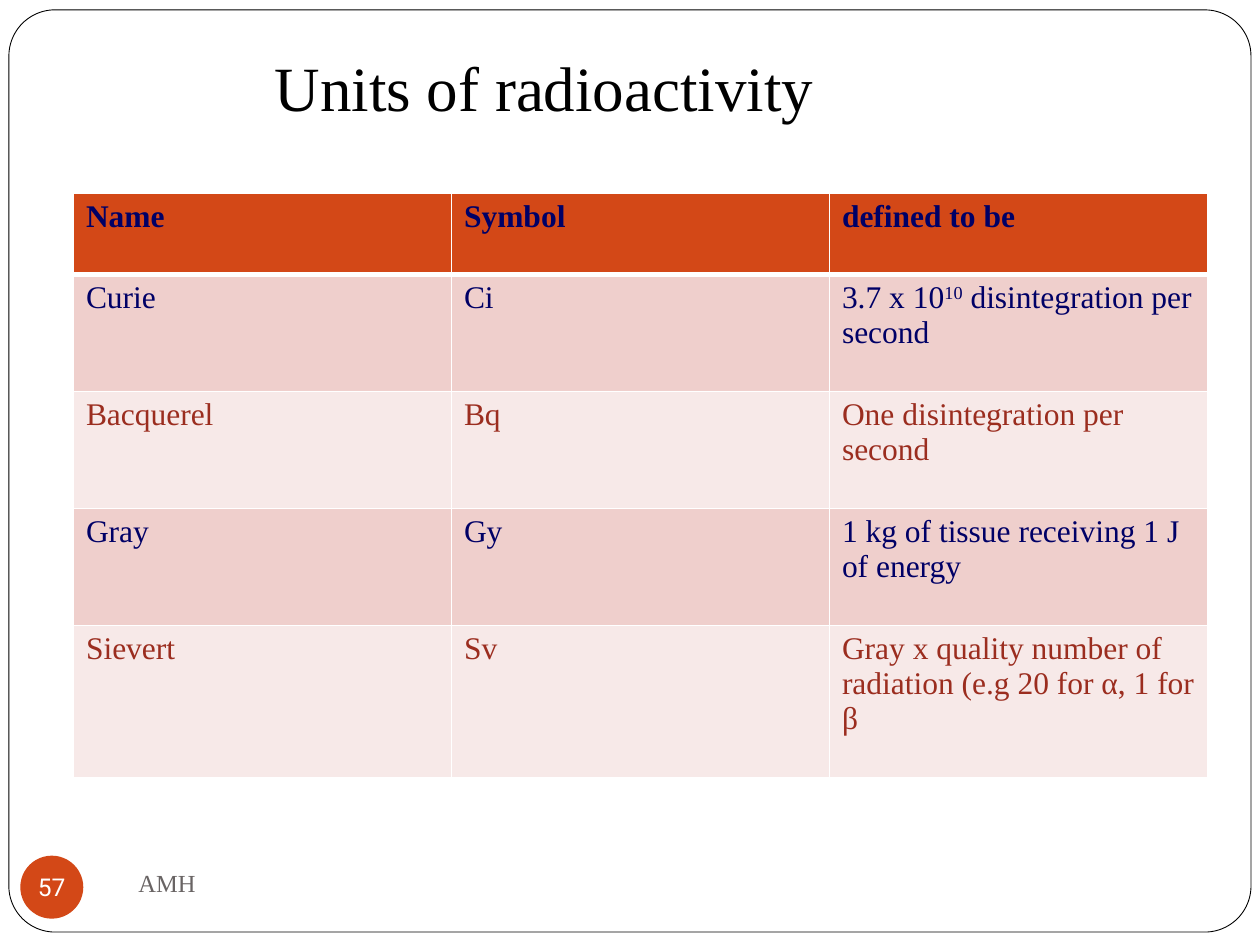
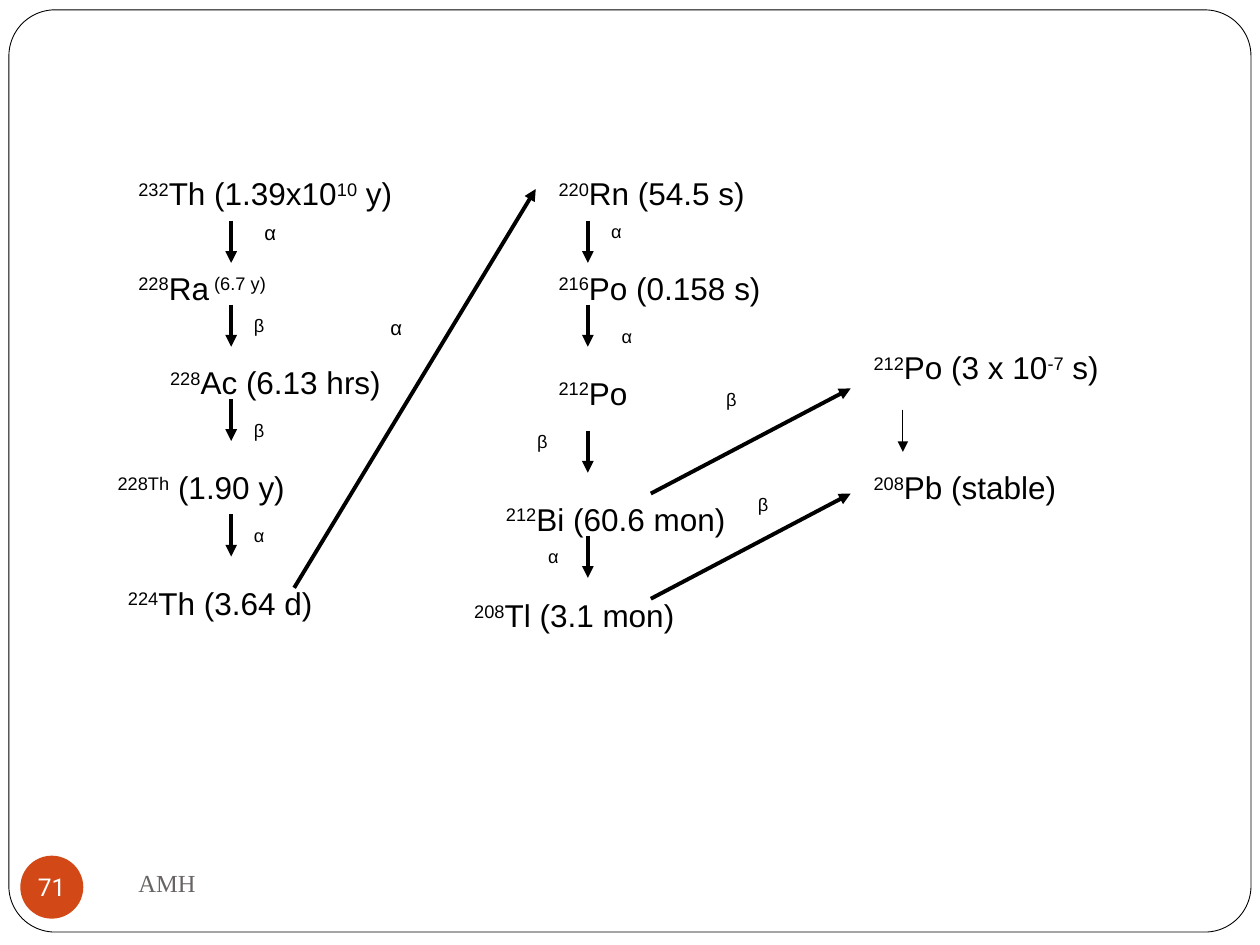
"""Build two slides on radioactivity: a table of units and the thorium decay chain."""
from typing import NamedTuple

from lxml.etree import SubElement
from pptx import Presentation
from pptx.dml.color import RGBColor
from pptx.enum.shapes import MSO_CONNECTOR as Connector, MSO_SHAPE as Preset
from pptx.enum.text import MSO_ANCHOR as Anchor, MSO_AUTO_SIZE as AutoSize, PP_ALIGN as Align
from pptx.oxml.ns import qn
from pptx.slide import Slide
from pptx.table import _Cell as Cell
from pptx.text.text import TextFrame
from pptx.util import Cm, Pt

COLORS = {
    "ink": "000000", "paper": "FFFFFF", "accent": "D34817", "footer": "696464",
    "navy": "000066", "rust": "9B2D1F", "rose": "EFCFCC", "blush": "F7E9E8",
}
SERIF, SANS, NUMERALS = "Times New Roman", "Arial", "Roboto"


class Style(NamedTuple):
    font: str
    size: float
    color: str
    bold: bool = False


class Label(NamedTuple):
    """Text in which the parts between bars alternate, every second one raised."""
    text: str
    left: float
    top: float
    width: float
    size: float = 18


class Arrow(NamedTuple):
    x1: float
    y1: float
    x2: float
    y2: float
    weight: float = 2.25


class RowLook(NamedTuple):
    fill: str
    text: str


TITLE = Style(SERIF, 36, "ink")
FOOTER = Style(SERIF, 14, "footer")
PAGE_NUMBER = Style(NUMERALS, 14, "paper")

UNITS = [
    ("Name", "Symbol", "defined to be"),
    ("Curie", "Ci", "3.7 x 10|10| disintegration per second"),
    ("Bacquerel", "Bq", "One disintegration per second"),
    ("Gray", "Gy", "1 kg of tissue receiving 1 J of energy"),
    ("Sievert", "Sv", "Gray x quality number of radiation (e.g 20 for α, 1 for β"),
]
UNIT_ROW_HEIGHTS = [1.64, 2.36, 2.36, 2.36, 3.07]
HEADER_LOOK = RowLook("accent", "navy")
BODY_LOOKS = [RowLook("rose", "navy"), RowLook("blush", "rust")]

NUCLIDES = [
    Label("|232|Th (1.39x10|10| y)", 2.54, 3.39, 5.93),
    Label("|228|Ra| (6.7 y)|", 2.54, 5.29, 4.66),
    Label("|228|Ac (6.13 hrs)", 3.18, 7.2, 4.87),
    Label("|228Th| (1.90 y)", 2.12, 9.31, 5.5),
    Label("|224|Th (3.64 d)", 2.33, 11.64, 5.29),
    Label("|220|Rn (54.5 s)", 11.01, 3.39, 5.29),
    Label("|216|Po (0.158 s)", 11.01, 5.29, 5.5),
    Label("|212|Po", 11.01, 7.41, 2.33),
    Label("|212|Bi (60.6 mon)", 9.95, 9.95, 5.93),
    Label("|208|Tl (3.1 mon)", 9.31, 11.89, 5.5),
    Label("|212|Po (3 x 10|-7| s)", 17.36, 6.9, 6.14),
    Label("|208|Pb (stable)", 17.36, 9.31, 4.87),
]
EMISSION_WIDTH = 0.85
EMISSIONS = [
    Label(f"|{particle}|", left, top, EMISSION_WIDTH, size)
    for particle, left, top, size in [
        ("α", 5.08, 4.23, 20), ("β", 4.87, 6.14, 18), ("β", 4.87, 8.26, 18),
        ("α", 4.87, 10.37, 18), ("α", 7.62, 6.14, 20), ("α", 12.07, 4.23, 18),
        ("α", 12.28, 6.35, 18), ("β", 10.58, 8.47, 18), ("α", 10.8, 10.8, 18),
        ("β", 14.39, 7.62, 18), ("β", 15.03, 9.74, 18),
    ]
]
STEP_LENGTH = 0.85
STEP_COLUMNS = [
    (4.66, [4.45, 6.14, 8.04, 10.37], 2.25),
    (11.85, [4.45, 6.14, 8.68, 10.8], 2.25),
    (18.2, [8.26], 0.75),
]
DECAYS = [
    Arrow(x, top, x, top + STEP_LENGTH, weight)
    for x, tops, weight in STEP_COLUMNS
    for top in tops
] + [
    Arrow(5.93, 11.85, 10.8, 3.81),
    Arrow(13.12, 9.95, 17.15, 7.83),
    Arrow(13.12, 12.07, 17.15, 9.95),
]


def rgb(name: str) -> RGBColor:
    """Look up a named colour."""
    return RGBColor.from_string(COLORS[name])


def write(frame: TextFrame, text: str, style: Style) -> None:
    """Write text in one style, raising every second part between bars."""
    paragraph = frame.paragraphs[0]
    font = paragraph.font
    font.name, font.size, font.bold = style.font, Pt(style.size), style.bold
    font.color.rgb = rgb(style.color)
    for index, part in enumerate(text.split("|")):
        if part:
            run = paragraph.add_run()
            run.text = part
            if index % 2:
                run.font._element.set("baseline", "30000")


def add_label(slide: Slide, label: Label, style: Style, height: float = 1.02) -> TextFrame:
    """Add a wrapping text box."""
    box = slide.shapes.add_textbox(Cm(label.left), Cm(label.top), Cm(label.width), Cm(height))
    box.text_frame.word_wrap = True
    write(box.text_frame, label.text, style)
    return box.text_frame


def add_arrow(slide: Slide, arrow: Arrow) -> None:
    """Add a straight arrow with a triangular head."""
    decay = slide.shapes.add_connector(
        Connector.STRAIGHT, Cm(arrow.x1), Cm(arrow.y1), Cm(arrow.x2), Cm(arrow.y2))
    decay.line.color.rgb = rgb("ink")
    decay.line.width = Pt(arrow.weight)
    SubElement(decay.line._get_or_add_ln(), qn("a:tailEnd"), type="triangle")
    SubElement(decay._element.spPr, qn("a:effectLst"))


def add_page(deck: Presentation, number: int) -> Slide:
    """Add a blank slide with the rounded frame, footer and page number."""
    slide = deck.slides.add_slide(deck.slide_layouts[6])
    frame = slide.shapes.add_shape(
        Preset.ROUNDED_RECTANGLE, Cm(0.18), Cm(0.2), Cm(25.04), Cm(18.59))
    frame.adjustments[0] = 0.05
    frame.shadow.inherit = False
    frame.fill.solid()
    frame.fill.fore_color.rgb = rgb("paper")
    frame.line.color.rgb = rgb("ink")
    frame.line.width = Pt(0.5)

    footer = add_label(slide, Label("AMH", 2.54, 17.15, 11), FOOTER, 1.27)
    footer.vertical_anchor = Anchor.MIDDLE

    badge = slide.shapes.add_shape(Preset.OVAL, Cm(0.41), Cm(17.25), Cm(1.27), Cm(1.27))
    badge.shadow.inherit = False
    badge.fill.solid()
    badge.fill.fore_color.rgb = rgb("accent")
    badge.line.fill.background()
    numeral = badge.text_frame
    numeral.margin_left = numeral.margin_right = numeral.margin_top = numeral.margin_bottom = 0
    numeral.word_wrap = False
    numeral.vertical_anchor = Anchor.MIDDLE
    numeral.paragraphs[0].alignment = Align.CENTER
    write(numeral, str(number), PAGE_NUMBER)
    return slide


def set_borders(cell: Cell, top: float, bottom: float) -> None:
    """Draw white borders around a cell, with widths in points."""
    properties = cell._tc.get_or_add_tcPr()
    for side, width in (("L", 1), ("R", 1), ("T", top), ("B", bottom)):
        border = SubElement(properties, qn(f"a:ln{side}"), w=str(Pt(width)))
        paint = SubElement(border, qn("a:solidFill"))
        SubElement(paint, qn("a:srgbClr"), val=COLORS["paper"])


def add_units_table(slide: Slide) -> None:
    """Add the table of units with its header and alternating rows."""
    units = slide.shapes.add_table(
        len(UNITS), len(UNITS[0]), Cm(1.48), Cm(3.89), Cm(22.86), Cm(sum(UNIT_ROW_HEIGHTS))).table
    for row, (entries, height) in enumerate(zip(UNITS, UNIT_ROW_HEIGHTS)):
        units.rows[row].height = Cm(height)
        look = BODY_LOOKS[(row - 1) % 2] if row else HEADER_LOOK
        for column, entry in enumerate(entries):
            cell = units.cell(row, column)
            set_borders(cell, top=3 if row == 1 else 1, bottom=3 if row == 0 else 1)
            cell.fill.solid()
            cell.fill.fore_color.rgb = rgb(look.fill)
            write(cell.text_frame, entry, Style(SERIF, 18, look.text, row == 0))


def build_units(deck: Presentation) -> None:
    """Build the slide on units of radioactivity."""
    slide = add_page(deck, 57)
    add_units_table(slide)
    title = add_label(slide, Label("Units of radioactivity", 5.29, 0.85, 12.06), TITLE, 1.8)
    title.auto_size = AutoSize.SHAPE_TO_FIT_TEXT


def build_decay_chain(deck: Presentation) -> None:
    """Build the slide on the thorium decay chain."""
    slide = add_page(deck, 71)
    for decay in DECAYS:
        add_arrow(slide, decay)
    for label in NUCLIDES + EMISSIONS:
        text = add_label(slide, label, Style(SANS, label.size, "ink"))
        text.auto_size = AutoSize.SHAPE_TO_FIT_TEXT


def main() -> None:
    """Build and save the deck."""
    deck = Presentation()
    deck.slide_width, deck.slide_height = Cm(25.4), Cm(19.05)
    build_units(deck)
    build_decay_chain(deck)
    deck.save("out.pptx")


if __name__ == "__main__":
    main()
